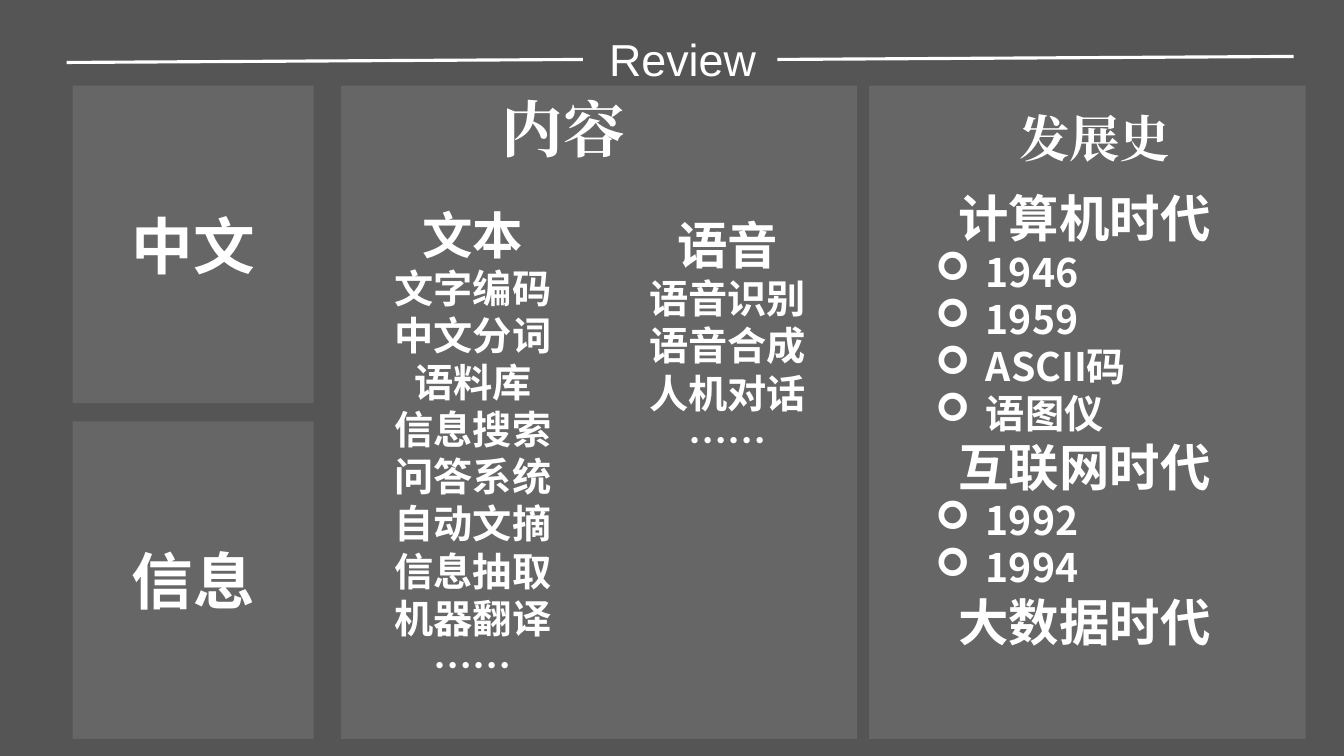
"""Build the Review slide: language panels, content lists and history."""
from lxml.etree import SubElement
from pptx import Presentation
from pptx.dml.color import RGBColor
from pptx.enum.shapes import MSO_CONNECTOR, MSO_SHAPE
from pptx.enum.text import MSO_ANCHOR, PP_ALIGN
from pptx.oxml.ns import qn
from pptx.util import Inches, Pt

WHITE = RGBColor(255, 255, 255)
GREY = RGBColor(0x55, 0x55, 0x55)
SANS, ARIAL, TIMES = "Noto Sans CJK SC", "Arial", "Times New Roman"

deck = Presentation()
deck.slide_width, deck.slide_height = Inches(13.33), Inches(7.5)
slide = deck.slides.add_slide(deck.slide_layouts[6])
slide.background.fill.solid()
slide.background.fill.fore_color.rgb = GREY


def write(frame, lines, face, align=PP_ALIGN.CENTER, bold=True):
    for i, (text, size, mark) in enumerate(lines):
        para = frame.paragraphs[0] if i == 0 else frame.add_paragraph()
        para.alignment = PP_ALIGN.LEFT if mark else align
        if mark:
            props = para._p.get_or_add_pPr()
            props.set("marL", str(Inches(1)))
            props.set("indent", str(Inches(-0.5)))
            SubElement(props, qn("a:buFont")).set("typeface", "Wingdings")
            SubElement(props, qn("a:buChar")).set("char", "➢")
            para.level = 1
        run = para.add_run()
        run.text = text
        style = {"size": Pt(size), "bold": bold, "name": face}
        for key, value in style.items():
            setattr(run.font, key, value)
        run.font.color.rgb = WHITE
        SubElement(run._r.rPr, qn("a:ea")).set("typeface", face)


def add_text(x, y, w, h, lines, face, **look):
    frame = slide.shapes.add_textbox(
        Inches(x), Inches(y), Inches(w), Inches(h)).text_frame
    frame.word_wrap = True
    write(frame, lines, face, **look)
    return frame


panels = [
    (3.38, 0.85, 5.12, 6.48, ""),
    (0.72, 0.85, 2.39, 3.15, "中文"),
    (0.72, 4.18, 2.39, 3.15, "信息"),
    (8.62, 0.85, 4.33, 6.48, ""),
]
for x, y, w, h, label in panels:
    panel = slide.shapes.add_shape(
        MSO_SHAPE.RECTANGLE, Inches(x), Inches(y), Inches(w), Inches(h))
    panel.shadow.inherit = False
    panel.fill.solid()
    panel.fill.fore_color.rgb = WHITE
    tint = panel.fill._xPr.find(".//" + qn("a:srgbClr"))
    SubElement(tint, qn("a:alpha")).set("val", "10000")
    panel.line.fill.background()
    if label:
        panel.text_frame.vertical_anchor = MSO_ANCHOR.MIDDLE
        write(panel.text_frame, [(label, 44, False)], ARIAL)

title = add_text(5.17, 0.31, 3.2, 0.54, [("Review", 32, False)], ARIAL, bold=False)
title.vertical_anchor = MSO_ANCHOR.MIDDLE
for side in ("left", "top", "right", "bottom"):
    setattr(title, f"margin_{side}", 0)

for x, y in [(0.66, 0.62), (7.71, 0.59)]:
    rule = slide.shapes.add_connector(
        MSO_CONNECTOR.STRAIGHT, Inches(x), Inches(y), Inches(x + 5.12), Inches(y - 0.03))
    rule.line.color.rgb = WHITE
    rule.line.width = Pt(2.25)
    SubElement(rule._element.spPr, qn("a:effectLst"))

for x, y, text, size in [(4.88, 0.85, "内容", 44), (10.01, 1.01, "发展史", 36)]:
    add_text(x, y, 1.88, 0.86, [(text, size, False)], TIMES, align=PP_ALIGN.LEFT)

texts = ["文字编码", "中文分词", "语料库", "信息搜索", "问答系统",
         "自动文摘", "信息抽取", "机器翻译", "……"]
speech = ["语音识别", "语音合成", "人机对话", "……"]
eras = [("计算机时代", ["1946", "1959", "ASCII码", "语图仪"]),
        ("互联网时代", ["1992", "1994"]), ("大数据时代", [])]
lists = [
    (3.52, 2.34, 0.05, [("文本", texts)], False),
    (6.07, 2.29, 2.18, [("语音", speech)], False),
    (8.68, 4.15, 0.58, eras, True),
]
for x, w, gap, groups, mark in lists:
    lines = []
    for head, items in groups:
        lines.append((head, 36, False))
        lines += [(item, 28, mark) for item in items]
    frame = add_text(x, 1.71, w, 5.43, lines, SANS)
    frame.vertical_anchor = MSO_ANCHOR.MIDDLE
    frame.margin_bottom = Inches(gap)

deck.save("out.pptx")
